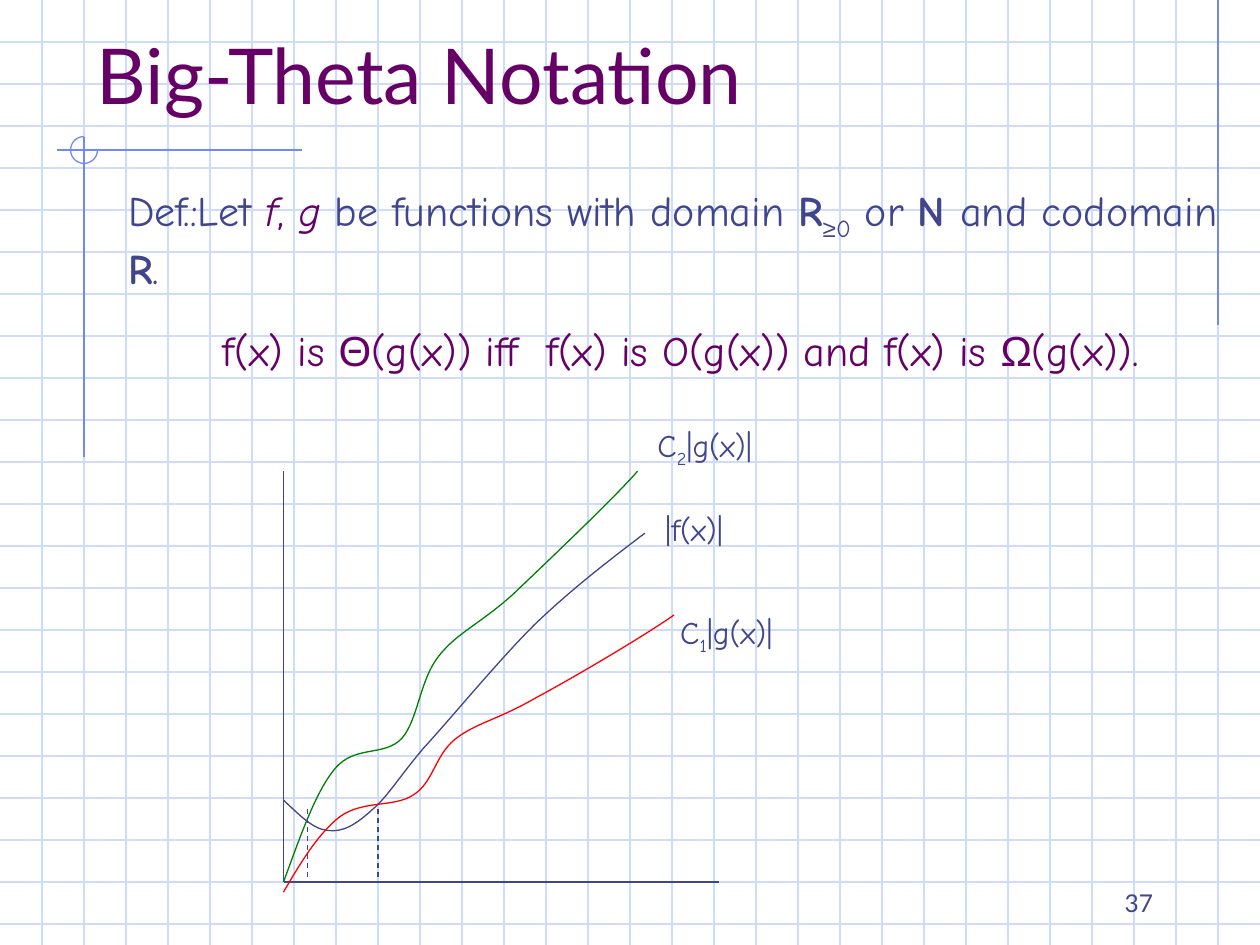
from dataclasses import dataclass
from typing import Any

import pptx
import pptx.dml.color
import pptx.enum.dml
import pptx.enum.shapes
import pptx.enum.text
import pptx.oxml
import pptx.oxml.ns
import pptx.util

Pt = pptx.util.Pt
Align = pptx.enum.text.PP_ALIGN
AutoSize = pptx.enum.text.MSO_AUTO_SIZE
Anchor = pptx.enum.text.MSO_ANCHOR

COLORS = {
    "paper": "FFFFFF",
    "grid": "CFDBFD",
    "ornament": "6F89F7",
    "ink": "40458C",
    "accent": "660066",
    "upper": "008000",
    "lower": "FF0000",
}
WIDTH, HEIGHT, GRID_STEP = 720, 540, 24
AXIS_LEFT, AXIS_TOP, AXIS_RIGHT, AXIS_BASE = 162, 269.3, 411, 504
SANS, HAND, SYMBOL = "Lato", "Comic Neue", "Arial"


@dataclass(frozen=True)
class Run:
    text: str
    size: float = 24
    color: str = "ink"
    font: str = HAND
    bold: bool = False
    italic: bool = False
    subscript: bool = False


@dataclass(frozen=True)
class Line:
    x1: float
    y1: float
    x2: float
    y2: float
    color: str = "ink"
    dashed: bool = False


@dataclass(frozen=True)
class Curve:
    """A start point and, per segment, two control points and an end point."""
    color: str
    start: tuple[float, float]
    segments: list[tuple[float, float]]


@dataclass(frozen=True)
class Label:
    left: float
    top: float
    height: float
    runs: list[Run]


DEFINITION = [
    Run("Def.:Let "),
    Run("f", color="accent", italic=True),
    Run(", ", color="accent"),
    Run("g", color="accent", italic=True),
    Run(" be functions with domain "),
    Run("R", bold=True),
    Run("≥", font=SYMBOL, subscript=True),
    Run("0", subscript=True),
    Run(" or "),
    Run("N ", bold=True),
    Run("and codomain "),
    Run("R", bold=True),
    Run("."),
]
CONDITION = [
    Run("f(x) is ", color="accent"),
    Run("Θ", color="accent", font=SYMBOL),
    Run("(g(x)) iff  f(x) is O(g(x)) and f(x) is ", color="accent"),
    Run("Ω", color="accent", font=SYMBOL),
    Run("(g(x)). ", color="accent"),
]
GRID = [Line(0, y, WIDTH, y, "grid") for y in range(GRID_STEP, HEIGHT, GRID_STEP)] + [
    Line(x, 0, x, HEIGHT, "grid") for x in range(GRID_STEP, WIDTH, GRID_STEP)]
ORNAMENTS = [
    Line(696, 0, 696, 185.8, "ornament"),
    Line(172.8, 85.7, 32.4, 85.7, "ornament"),
    Line(48, 78.5, 48, 261.4, "ornament"),
]
AXES = [
    Line(AXIS_LEFT, AXIS_TOP, AXIS_LEFT, AXIS_BASE),
    Line(AXIS_LEFT, AXIS_BASE, AXIS_RIGHT, AXIS_BASE),
]
CROSSINGS = [Line(x, 462.2, x, AXIS_BASE, dashed=True) for x in (175.6, 216)]
CURVES = [
    Curve("upper", (AXIS_LEFT, AXIS_BASE), [
        (171.4, 478.8), (180, 452.9), (191.5, 439.2),
        (203, 425.5), (219.6, 432.7), (229.7, 421.9),
        (239, 411.1), (239.8, 388.8), (250.6, 375.1),
        (261.4, 361.4), (273.6, 357.1), (293, 339.8),
        (311.8, 321.8), (350.6, 285.1), (364.3, AXIS_TOP)]),
    Curve("ink", (AXIS_LEFT, 457.2), [
        (170.6, 465.1), (178.6, 473.8), (187.2, 474.5),
        (195.8, 475.9), (203.8, 470.9), (212.4, 463),
        (221.8, 455), (226.8, 445.7), (241.9, 427.7),
        (257.8, 410.4), (284.4, 378), (305.3, 357.1),
        (326.2, 337), (347.8, 320.4), (368.6, 304.6)]),
    Curve("lower", (AXIS_LEFT, 509.8), [
        (172.1, 492.5), (182.2, 475.9), (194.4, 466.6),
        (207.4, 457.2), (225.4, 461.5), (236.2, 454.3),
        (247.7, 447.1), (248.4, 432), (259.9, 422.6),
        (271.4, 413.3), (285.1, 411.1), (306, 398.9),
        (327.6, 387.4), (370.1, 362.2), (385.2, 351.4)]),
]


def bound_runs(index: str) -> list[Run]:
    return [Run("C", 18), Run(index, 18, subscript=True), Run("|g(x)|", 18)]


LABELS = [
    Label(368.6, 239.8, 31.7, bound_runs("2")),
    Label(381.6, 347, 31.7, bound_runs("1")),
    Label(373, 288, 28.8, [Run("|f(x)|", 18)]),
]


def rgb(name: str) -> pptx.dml.color.RGBColor:
    return pptx.dml.color.RGBColor.from_string(COLORS[name])


def style_outline(shape: Any, color: str) -> None:
    shape.line.color.rgb = rgb(color)
    shape.line.width = Pt(0.75)


def draw_line(slide: Any, line: Line) -> None:
    connector = slide.shapes.add_connector(
        pptx.enum.shapes.MSO_CONNECTOR.STRAIGHT,
        Pt(line.x1), Pt(line.y1), Pt(line.x2), Pt(line.y2))
    style_outline(connector, line.color)
    if line.dashed:
        connector.line.dash_style = pptx.enum.dml.MSO_LINE.DASH
    pptx.oxml.ns  # namespace helpers are loaded with the package
    properties = connector._element.spPr
    properties.append(properties.makeelement(pptx.oxml.ns.qn("a:effectLst"), {}))


def draw_curve(slide: Any, curve: Curve) -> None:
    """Draw the points as a freeform, then join each three into a cubic segment."""
    builder = slide.shapes.build_freeform(*map(Pt, curve.start), scale=1.0)
    builder.add_line_segments([(Pt(x), Pt(y)) for x, y in curve.segments], close=False)
    shape = builder.convert_to_shape()
    shape.fill.background()
    shape.shadow.inherit = False
    style_outline(shape, curve.color)
    outline = next(shape._element.iter(pptx.oxml.ns.qn("a:path")))
    steps = outline.findall(pptx.oxml.ns.qn("a:lnTo"))
    for first in range(0, len(steps), 3):
        cubic = outline.makeelement(pptx.oxml.ns.qn("a:cubicBezTo"), {})
        outline.append(cubic)
        for step in steps[first:first + 3]:
            cubic.append(step[0])
            outline.remove(step)


def draw_ring(slide: Any) -> None:
    """Three quarters of a circle, open at the upper right."""
    ring = slide.shapes.add_shape(
        pptx.enum.shapes.MSO_SHAPE.ARC, Pt(40.3), Pt(78), Pt(15.4), Pt(15.4))
    ring.adjustments[0], ring.adjustments[1] = 0, 162  # 270 degrees
    ring.fill.background()
    ring.shadow.inherit = False
    style_outline(ring, "ornament")


def write_runs(paragraph: Any, runs: list[Run], align: Any = Align.LEFT, before: float = 0) -> None:
    paragraph.alignment = align
    paragraph.space_before = Pt(before)
    for item in runs:
        run = paragraph.add_run()
        run.text = item.text
        run.font.name, run.font.size = item.font, Pt(item.size)
        run.font.bold, run.font.italic = item.bold, item.italic
        run.font.color.rgb = rgb(item.color)
        if item.subscript:
            run.font._element.set("baseline", "-25000")


def place(shape: Any, left: float, top: float, width: float, height: float, anchor: Any) -> Any:
    """Move a placeholder in front of what is drawn so far and return its text frame."""
    shape.left, shape.top, shape.width, shape.height = map(Pt, (left, top, width, height))
    shape._element.getparent().append(shape._element)
    frame = shape.text_frame
    frame.word_wrap, frame.auto_size, frame.vertical_anchor = True, AutoSize.NONE, anchor
    return frame


def add_text(slide: Any, left: float, top: float, width: float, height: float) -> Any:
    frame = slide.shapes.add_textbox(Pt(left), Pt(top), Pt(width), Pt(height)).text_frame
    frame.word_wrap = True
    return frame


def main() -> None:
    deck = pptx.Presentation()
    deck.slide_width, deck.slide_height = Pt(WIDTH), Pt(HEIGHT)
    slide = deck.slides.add_slide(deck.slide_layouts[1])
    slide.background.fill.solid()
    slide.background.fill.fore_color.rgb = rgb("paper")

    for line in GRID + ORNAMENTS:
        draw_line(slide, line)
    draw_ring(slide)

    page_number = add_text(slide, 516, 510, 150, 18)
    page_number.vertical_anchor = Anchor.BOTTOM
    write_runs(page_number.paragraphs[0], [Run("37", 14, font=SANS)], Align.RIGHT)

    title = place(slide.shapes.title, 48, 24, 648, 48, Anchor.BOTTOM)
    write_runs(title.paragraphs[0], [Run("Big-Theta Notation", 44, "accent", SANS)])

    body = place(slide.placeholders[1], 66, 102, 654, 390, Anchor.TOP)
    write_runs(body.paragraphs[0], DEFINITION, before=18)
    write_runs(body.add_paragraph(), CONDITION, Align.CENTER, 18)
    for paragraph in body.paragraphs:
        properties = paragraph._element.get_or_add_pPr()
        properties.set("marL", "0")
        properties.set("indent", "0")
        properties.append(properties.makeelement(pptx.oxml.ns.qn("a:buNone"), {}))

    for line in AXES:
        draw_line(slide, line)
    for curve in CURVES:
        draw_curve(slide, curve)
    for label in LABELS:
        frame = add_text(slide, label.left, label.top, 93, label.height)
        frame.auto_size = AutoSize.SHAPE_TO_FIT_TEXT
        write_runs(frame.paragraphs[0], label.runs, before=11.2)
    for line in CROSSINGS:
        draw_line(slide, line)

    deck.save("out.pptx")


if __name__ == "__main__":
    main()
